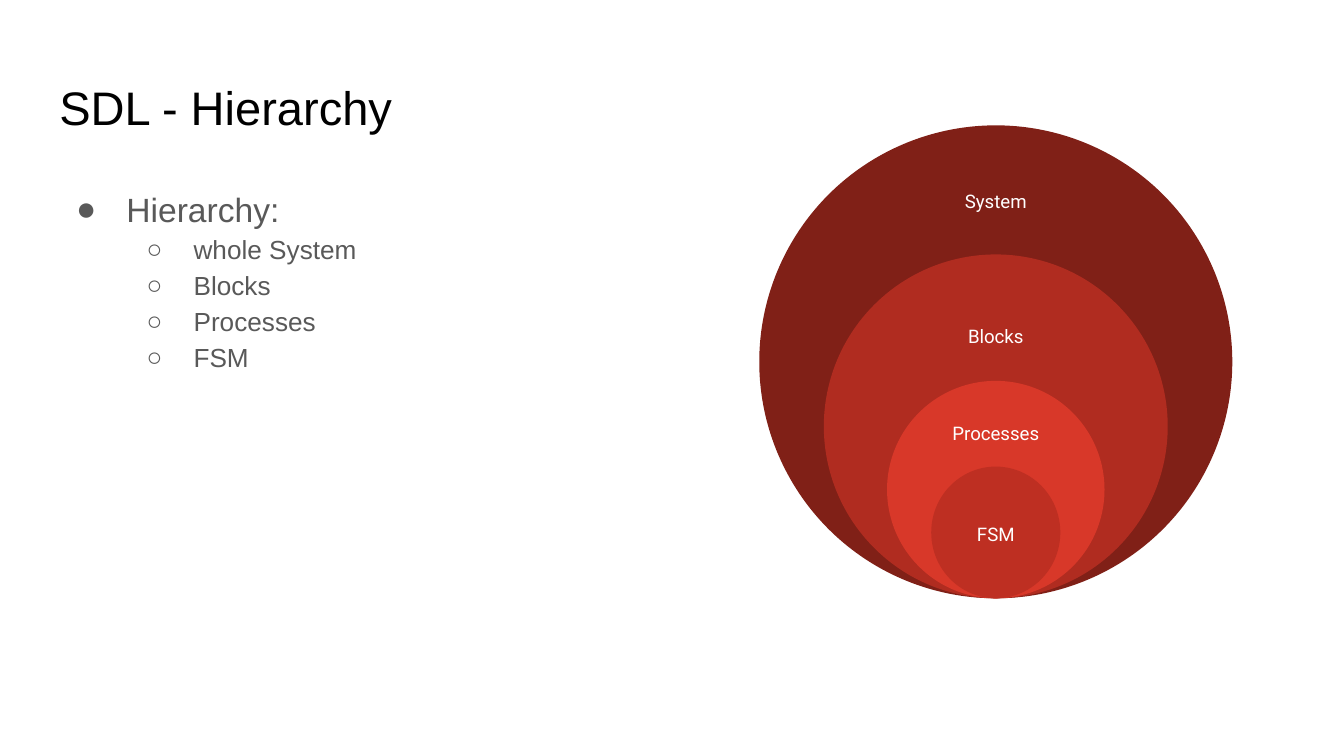
from lxml.etree import SubElement
from pptx import Presentation
from pptx.dml.color import RGBColor
from pptx.enum.shapes import MSO_SHAPE
from pptx.enum.text import MSO_ANCHOR, MSO_AUTO_SIZE, PP_ALIGN
from pptx.oxml.ns import qn
from pptx.util import Cm, Pt

THEME = {
    "title": {"name": "Arial", "size": Pt(25.2), "color": "000000"},
    "level0": {"name": "Arial", "size": Pt(18), "color": "595959"},
    "level1": {"name": "Arial", "size": Pt(14), "color": "595959"},
    "label": {"name": "Roboto", "size": Pt(10), "color": "FFFFFF"},
    "rings": ["802017", "B02C20", "D83829", "BE2F22"],
}


def set_frame(tf, anchor):
    values = {"word_wrap": True, "auto_size": MSO_AUTO_SIZE.NONE, "vertical_anchor": anchor}
    for side in ("left", "top", "right", "bottom"):
        values[f"margin_{side}"] = Cm(0.25)
    for name, value in values.items():
        setattr(tf, name, value)


def add_text(p, text, style, align):
    p.alignment = align
    r = p.add_run()
    r.text = text
    for name, value in THEME[style].items():
        if name == "color":
            r.font.color.rgb = RGBColor.from_string(value)
        else:
            setattr(r.font, name, value)


prs = Presentation()
prs.slide_width, prs.slide_height = Cm(25.4), Cm(14.29)
s = prs.slides.add_slide(prs.slide_layouts[5])

title = s.shapes.title
box = {"left": Cm(0.87), "top": Cm(1.24), "width": Cm(23.67), "height": Cm(1.6)}
for name, value in box.items():
    setattr(title, name, value)
set_frame(title.text_frame, MSO_ANCHOR.TOP)
add_text(title.text_frame.paragraphs[0], "SDL - Hierarchy", "title", PP_ALIGN.LEFT)

body = s.shapes.add_textbox(Cm(0.87), Cm(3.2), Cm(7.92), Cm(9.5))
tf = body.text_frame
set_frame(tf, MSO_ANCHOR.TOP)
bullets = [("●", Cm(1.27), Cm(-0.95)), ("○", Cm(2.54), Cm(-0.89))]
items = [("Hierarchy:", 0), ("whole System", 1), ("Blocks", 1), ("Processes", 1), ("FSM", 1)]
for i, (text, level) in enumerate(items):
    p = tf.add_paragraph() if i else tf.paragraphs[0]
    p.level = level
    p.line_spacing = 1.15
    add_text(p, text, f"level{level}", PP_ALIGN.LEFT)
    char, margin, indent = bullets[level]
    pPr = p._p.get_or_add_pPr()
    pPr.set("marL", str(margin))
    pPr.set("indent", str(indent))
    color = SubElement(pPr, qn("a:buClr"))
    SubElement(color, qn("a:srgbClr")).set("val", THEME[f"level{level}"]["color"])
    SubElement(pPr, qn("a:buFont")).set("typeface", "Arial")
    SubElement(pPr, qn("a:buChar")).set("char", char)

center, bottom = 18.82, 11.31
rings = [
    ("System", 8.94, 8.94, 3.81, 4.39, 1.57),
    ("Blocks", 6.5, 6.5, 6.35, 4.11, 1.47),
    ("Processes", 4.11, 4.11, 8.18, 2.26, 0.86),
    ("FSM", 2.44, 2.49, 10.1, 2.03, 1.09),
]
for (text, w, h, label_y, label_w, label_h), fill in zip(rings, THEME["rings"]):
    group = s.shapes.add_group_shape()
    sp = group.shapes.add_shape(MSO_SHAPE.OVAL, Cm(center - w / 2), Cm(bottom - h), Cm(w), Cm(h))
    sp.shadow.inherit = False
    sp.fill.solid()
    sp.fill.fore_color.rgb = RGBColor.from_string(fill)
    sp.line.fill.background()
    label = group.shapes.add_textbox(
        Cm(center - label_w / 2), Cm(label_y - label_h / 2), Cm(label_w), Cm(label_h)
    )
    set_frame(label.text_frame, MSO_ANCHOR.MIDDLE)
    add_text(label.text_frame.paragraphs[0], text, "label", PP_ALIGN.CENTER)

prs.save("out.pptx")
